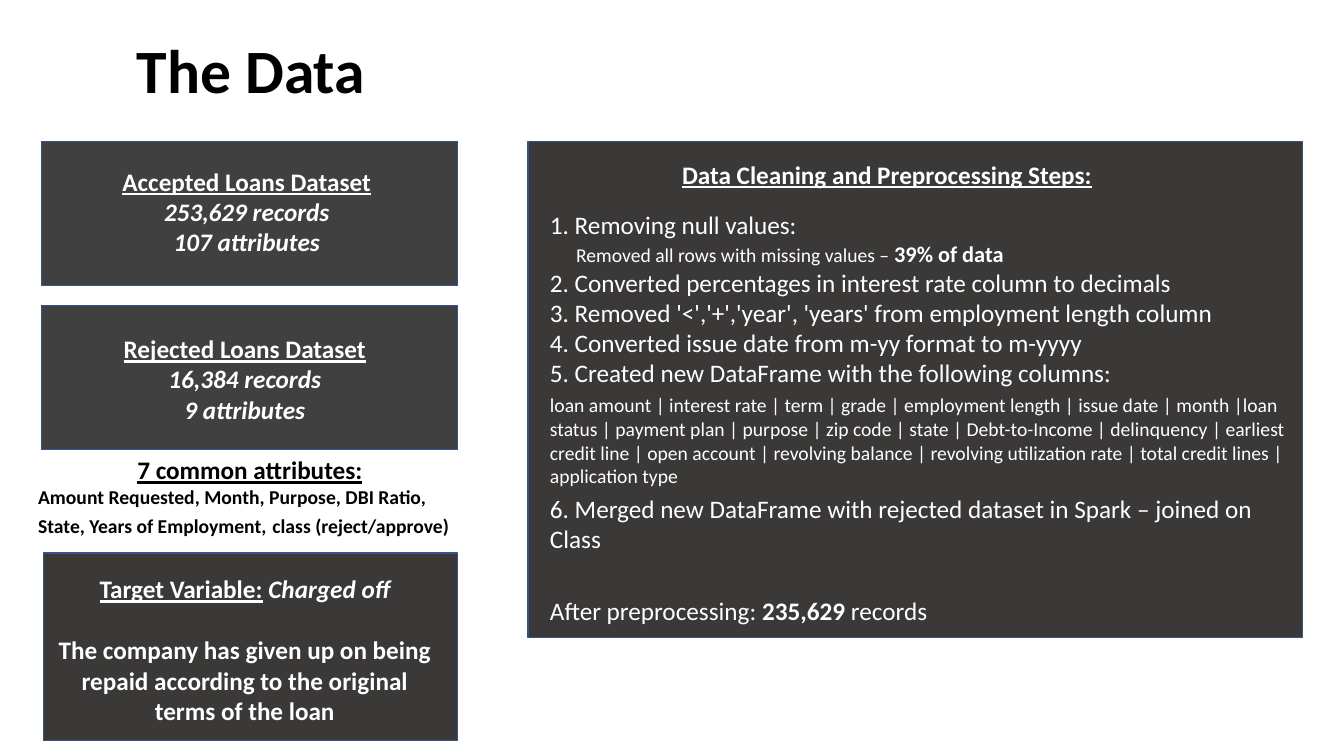
"""Build the slide on the loan data and its cleaning steps."""
from dataclasses import dataclass

from pptx import Presentation
from pptx.dml.color import RGBColor as Rgb
from pptx.enum.shapes import MSO_SHAPE as Form
from pptx.enum.text import MSO_ANCHOR as Anchor, PP_ALIGN as Align
from pptx.util import Cm, Pt


@dataclass(frozen=True)
class Theme:
    font: str = "Calibri"
    black: Rgb = Rgb(0, 0, 0)
    white: Rgb = Rgb(255, 255, 255)
    card: Rgb = Rgb(0x40, 0x40, 0x40)
    dark: Rgb = Rgb(0x3B, 0x38, 0x38)
    edge: Rgb = Rgb(0x32, 0x54, 0x91)
    title: int = 44
    body: int = 18
    mid: int = 16
    small: int = 14


look = Theme()
deck = Presentation()
deck.slide_width, deck.slide_height = Cm(33.87), Cm(19.05)
slide = deck.slides.add_slide(deck.slide_layouts[6])


def panel(x, y, w, h, fill):
    """Draw a filled box with a thin edge."""
    box = slide.shapes.add_shape(Form.RECTANGLE, Cm(x), Cm(y), Cm(w), Cm(h))
    box.shadow.inherit = False
    box.fill.solid()
    box.fill.fore_color.rgb = fill
    box.line.color.rgb = look.edge
    box.line.width = Pt(1)


def write(x, y, w, h, paras, color=look.white, align=Align.LEFT):
    """Add text, each run given as words, size and style letters b, i, u."""
    frame = slide.shapes.add_textbox(Cm(x), Cm(y), Cm(w), Cm(h)).text_frame
    frame.word_wrap = True
    for n, runs in enumerate(paras):
        para = frame.add_paragraph() if n else frame.paragraphs[0]
        para.alignment = align
        for words, size, style in runs:
            run = para.add_run()
            run.text = words
            font = run.font
            font.name, font.size, font.color.rgb = look.font, Pt(size), color
            font.bold, font.italic, font.underline = (k in style for k in "biu")
    return frame


title = write(3.2, 0, 6.55, 3.71, [[("The Data", look.title, "b")]], look.black)
title.vertical_anchor = Anchor.MIDDLE
title.paragraphs[0].line_spacing = 0.9

sets = [
    (3.56, 1.09, 4.06, "Accepted Loans Dataset", "253,629 records", "107 attributes"),
    (7.7, 1.04, 8.28, "Rejected Loans Dataset", "16,384 records", "9 attributes"),
]
for top, x, y, name, count, width in sets:
    panel(1.04, top, 10.49, 3.63, look.card)
    lines = [(name, "bu"), (count, "bi"), (width, "bi")]
    write(x, y, 10.26, 3.33, [[(t, look.body, s)] for t, s in lines],
          align=Align.CENTER)

shared = write(0.71, 11.33, 11.18, 2.39, [
    [("7 common attributes:", look.body, "bu")],
    [("Amount Requested, Month, Purpose, DBI Ratio, State, Years of Employment,",
      look.small, "b"),
     (" ", look.body, "b"),
     ("class (reject/approve)", look.small, "b")],
], look.black)
shared.paragraphs[0].alignment = Align.CENTER

panel(1.09, 13.94, 10.44, 4.72, look.dark)
target = write(1.04, 14.33, 10.26, 4.7, [
    [("Target Variable:", look.body, "bu"),
     (" ", look.body, "b"),
     ("Charged off", look.body, "bi")],
    [("The company has given up on being repaid according to the original "
      "terms of the loan", look.body, "b")],
], align=Align.CENTER)
target.paragraphs[1].space_before = Pt(22)

panel(13.31, 3.56, 19.51, 12.5, look.dark)
write(16.94, 3.89, 14.33, 1.02,
      [[("Data Cleaning and Preprocessing Steps:", look.body, "bu")]])
steps = write(13.61, 5.16, 19.48, 11.73, [
    [("1. Removing null values:", look.body, "")],
    [("Removed all rows with missing values – ", look.small, ""),
     ("39% of data", look.mid, "b")],
    [("2. Converted percentages in interest rate column to decimals",
      look.body, "")],
    [("3. Removed '<','+','year', 'years' from employment length column",
      look.body, "")],
    [("4. Converted issue date from m-yy format to m-yyyy", look.body, "")],
    [("5. Created new DataFrame with the following columns:", look.body, "")],
    [("loan amount | interest rate | term | grade | employment length | "
      "issue date | month |loan status | payment plan | purpose | zip code | "
      "state | Debt-to-Income | delinquency | earliest credit line | "
      "open account | revolving balance | revolving utilization rate | "
      "total credit lines | application type", look.small, "")],
    [("6. Merged new DataFrame with rejected dataset in Spark – joined on Class",
      look.body, "")],
    [("After preprocessing: ", look.body, ""),
     ("235,629", look.body, "b"),
     (" records", look.body, "")],
]).paragraphs
steps[1]._p.get_or_add_pPr().set("marL", str(Cm(0.66)))
for para in steps[5:]:
    para.space_after = Pt(4)
steps[-1].space_before = Pt(26)

deck.save("out.pptx")
